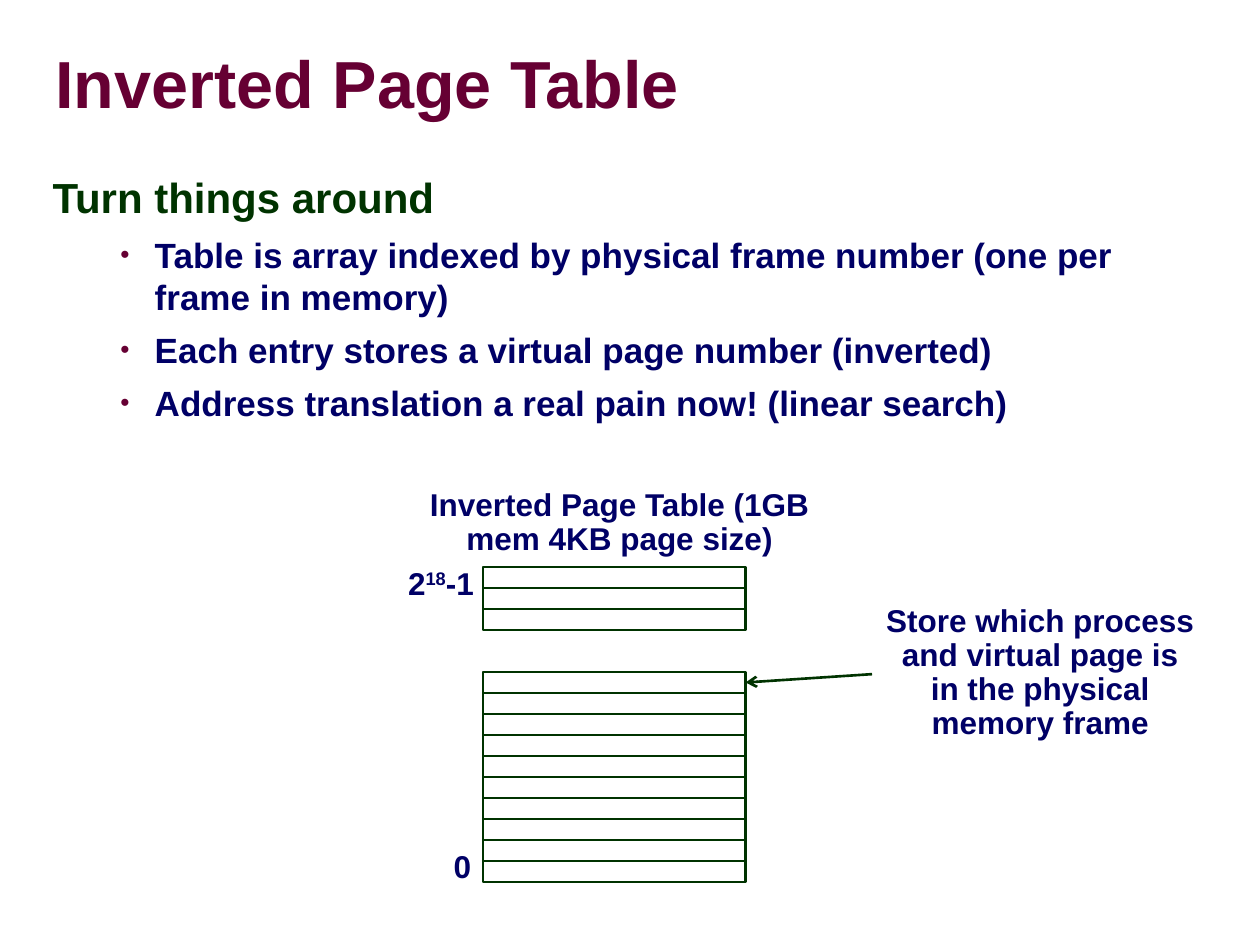
from dataclasses import dataclass

from lxml.etree import SubElement
from pptx import Presentation
from pptx.dml.color import RGBColor as Rgb
from pptx.enum.shapes import MSO_CONNECTOR as Link, MSO_SHAPE as Shape
from pptx.enum.text import MSO_ANCHOR as Anchor, MSO_AUTO_SIZE as Fit, PP_ALIGN as Align
from pptx.oxml import parse_xml
from pptx.oxml.ns import nsdecls, qn
from pptx.util import Cm, Pt


@dataclass(frozen=True)
class Theme:
    """Colours and type sizes of the slide."""

    font: str = "Arial"
    title: str = "660033"
    outline: str = "003300"
    body: str = "000066"
    shadow: str = "969696"
    title_size: int = 38
    heading_size: int = 24
    bullet_size: int = 20
    label_size: int = 18
    line_width: float = 1.5


THEME = Theme()
TITLE = "Inverted Page Table"
HEADING = "Turn things around"
BULLETS = [
    "Table is array indexed by physical frame number (one per frame in memory)",
    "Each entry stores a virtual page number (inverted)",
    "Address translation a real pain now! (linear search)",
]
LABELS = [
    (("0",), (8.89, 17.04, 0.86, 0.94), False),
    (("2", "^18", "-1"), (7.62, 11.33, 2.54, 0.94), True),
    (("Inverted Page Table (1GB mem 4KB page size)",), (8.26, 9.73, 8.46, 1.63), True),
    (("Store which process and virtual page is in the physical memory frame",),
     (17.58, 12.07, 6.78, 3), True),
]
TABLE_LEFT, TABLE_TOP, TABLE_WIDTH = Cm(9.74), Cm(11.43), Cm(5.29)
ROW_HEIGHT = Cm(1.27) / 3
UPPER_ROWS, LOWER_ROWS = range(3), range(5, 15)
ARROW_START = Cm(17.58), Cm(13.59)


def add_box(page, frame, wrap=True):
    """Add a text box and return its text frame."""
    box = page.shapes.add_textbox(*(Cm(length) for length in frame)).text_frame
    box.word_wrap = wrap
    return box


def style(para, size, color):
    """Set the font of a whole paragraph."""
    font = para.font
    font.name, font.size, font.bold = THEME.font, Pt(size), True
    font.color.rgb = Rgb.from_string(color)


def add_bullet(para):
    """Give a paragraph its hanging bullet."""
    props = para._p.get_or_add_pPr()
    props.set("marL", str(Cm(2.06)))
    props.set("indent", str(Cm(-0.69)))
    color = SubElement(props, qn("a:buClr"))
    SubElement(color, qn("a:srgbClr"), val=THEME.title)
    SubElement(props, qn("a:buSzPct"), val="75000")
    SubElement(props, qn("a:buFont"), typeface=THEME.font)
    SubElement(props, qn("a:buChar"), char="•")


def add_title(page):
    """Add the shadowed title."""
    box = add_box(page, (1.12, 0.69, 23.85, 2.16))
    box.margin_left = box.margin_right = box.margin_top = box.margin_bottom = 0
    box.vertical_anchor = Anchor.MIDDLE
    para = box.paragraphs[0]
    para.line_spacing = 0.87
    style(para, THEME.title_size, THEME.title)
    span = para.add_run()
    span.text = TITLE
    span._r.get_or_add_rPr().append(parse_xml(
        f'<a:effectLst {nsdecls("a")}><a:outerShdw dist="38100" dir="2700000">'
        f'<a:srgbClr val="{THEME.shadow}"/></a:outerShdw></a:effectLst>'))


def add_body(page):
    """Add the heading and its bullets."""
    box = add_box(page, (0.81, 3.4, 23.09, 5.92))
    heading = box.paragraphs[0]
    heading.text = HEADING
    heading.line_spacing = 0.95
    style(heading, THEME.heading_size, THEME.outline)
    for text in BULLETS:
        para = box.add_paragraph()
        para.text = text
        para.level = 1
        para.space_before = Pt(6.2)
        add_bullet(para)
        style(para, THEME.bullet_size, THEME.body)


def add_label(page, parts, frame, wrap):
    """Add a centred label, raising the parts marked with a caret."""
    box = add_box(page, frame, wrap)
    box.auto_size = Fit.SHAPE_TO_FIT_TEXT
    para = box.paragraphs[0]
    para.alignment, para.line_spacing = Align.CENTER, 0.9
    style(para, THEME.label_size, THEME.body)
    for part in parts:
        span = para.add_run()
        span.text = part.lstrip("^")
        if part.startswith("^"):
            span._r.get_or_add_rPr().set("baseline", "30000")


def draw_line(line):
    """Apply the outline colour and width."""
    line.color.rgb = Rgb.from_string(THEME.outline)
    line.width = Pt(THEME.line_width)


def add_row(page, slot):
    """Add one page table entry."""
    top = round(TABLE_TOP + slot * ROW_HEIGHT)
    row = page.shapes.add_shape(
        Shape.RECTANGLE, TABLE_LEFT, top, TABLE_WIDTH, round(ROW_HEIGHT))
    row.shadow.inherit = False
    row.fill.background()
    draw_line(row.line)
    return row


def add_arrow(page, row):
    """Point an arrow at the right side of a row."""
    arrow = page.shapes.add_connector(Link.STRAIGHT, *ARROW_START, *ARROW_START)
    arrow.end_connect(row, 3)
    draw_line(arrow.line)
    SubElement(arrow.line._get_or_add_ln(), qn("a:tailEnd"), type="arrow")
    SubElement(arrow._element.spPr, qn("a:effectLst"))


def main():
    """Build and save the slide."""
    deck = Presentation()
    deck.slide_width, deck.slide_height = Cm(25.4), Cm(19.05)
    page = deck.slides.add_slide(deck.slide_layouts[6])
    add_title(page)
    add_body(page)
    rows = {slot: add_row(page, slot) for slot in (*UPPER_ROWS, *LOWER_ROWS)}
    for label in LABELS:
        add_label(page, *label)
    add_arrow(page, rows[LOWER_ROWS[0]])
    deck.save("out.pptx")


if __name__ == "__main__":
    main()
